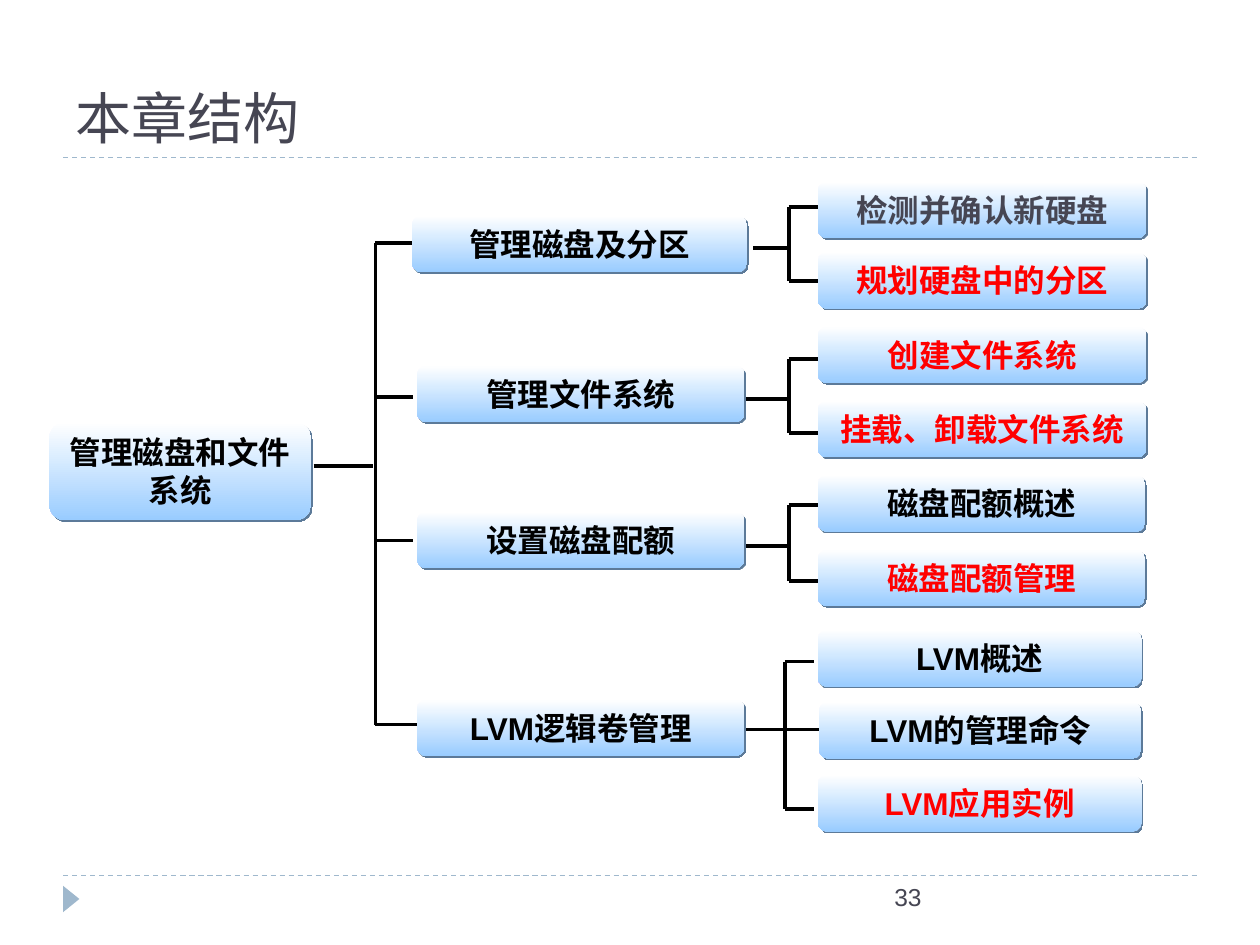
from dataclasses import dataclass

from lxml import etree
from pptx import Presentation
from pptx.dml.color import RGBColor
from pptx.enum import dml, shapes, text
from pptx.oxml import ns
from pptx.util import Inches, Pt

BLACK = RGBColor(0, 0, 0)
WHITE = RGBColor(255, 255, 255)
RED = RGBColor(255, 0, 0)
SLATE = RGBColor(0x46, 0x46, 0x53)
STEEL = RGBColor(0x9F, 0xB8, 0xCD)
SKY = RGBColor(0x99, 0xCC, 0xFF)
SHADE = "5C7A99"


@dataclass
class Box:
    words: str
    x: float
    y: float
    w: float = 2.6
    h: float = 0.45
    ink: RGBColor = BLACK


@dataclass
class Fork:
    start: float  # left end of the stub
    mid: float  # height of the stub
    trunk: float  # x of the upright
    arms: list[tuple[float, float]]  # right end and height of each arm
    stop: float | None = None  # right end of the stub, if not the trunk


ROOT = Box("管理磁盘和文件系统", 0.39, 3.35, 2.08, 0.78)
TOPICS = [
    Box("管理磁盘及分区", 3.27, 1.71, 2.66),
    Box("管理文件系统", 3.31, 2.9),
    Box("设置磁盘配额", 3.31, 4.06),
    Box("LVM逻辑卷管理", 3.31, 5.55),
]
LEAVES = [
    Box("检测并确认新硬盘", 6.49, 1.44, 2.61, ink=SLATE),
    Box("规划硬盘中的分区", 6.49, 2, 2.61, ink=RED),
    Box("创建文件系统", 6.49, 2.59, 2.61, ink=RED),
    Box("挂载、卸载文件系统", 6.49, 3.18, 2.61, ink=RED),
    Box("磁盘配额概述", 6.49, 3.77),
    Box("磁盘配额管理", 6.49, 4.36, ink=RED),
    Box("LVM概述", 6.49, 5, 2.57),
    Box("LVM的管理命令", 6.5, 5.57, 2.56),
    Box("LVM应用实例", 6.49, 6.15, 2.57, ink=RED),
]
FORKS = [
    Fork(2.49, 3.7, 2.98, [(3.27, 1.93), (3.28, 3.15), (3.28, 4.29), (3.31, 5.75)], 2.96),
    Fork(5.98, 1.97, 6.26, [(6.5, 1.64), (6.5, 2.23)]),
    Fork(5.87, 3.17, 6.26, [(6.5, 2.85), (6.5, 3.44)]),
    Fork(5.87, 4.33, 6.26, [(6.5, 4.01), (6.5, 4.61)]),
    Fork(5.92, 5.79, 6.23, [(6.46, 5.25), (6.46, 6.42)], 6.5),
]


def style(frame, size: float, ink: RGBColor, face: str = "Arial", bold: bool = False) -> None:
    for run in frame.paragraphs[0].runs:
        font = run.font
        font.size, font.name, font.bold = Pt(size), face, bold
        font.color.rgb = ink


def draw_line(slide, x1: float, y1: float, x2: float, y2: float,
              ink: RGBColor = BLACK, width: float = 2.25, dash=None) -> None:
    line = slide.shapes.add_connector(
        shapes.MSO_CONNECTOR.STRAIGHT, Inches(x1), Inches(y1), Inches(x2), Inches(y2))
    line.line.color.rgb = ink
    line.line.width = Pt(width)
    if dash:
        line.line.dash_style = dash
    etree.SubElement(line._element.spPr, ns.qn("a:effectLst"))


def draw_fork(slide, fork: Fork) -> None:
    rows = [y for _, y in fork.arms]
    draw_line(slide, fork.trunk, min(rows), fork.trunk, max(rows))
    draw_line(slide, fork.start, fork.mid, fork.stop or fork.trunk, fork.mid)
    for end, y in fork.arms:
        draw_line(slide, fork.trunk, y, end, y)


def add_shade(shape) -> None:
    """Hard shadow, 1.4 pt to the lower right."""
    shape.shadow.inherit = False
    effects = shape._element.spPr.find(ns.qn("a:effectLst"))
    shade = etree.SubElement(effects, ns.qn("a:outerShdw"), dist=str(Pt(1.4)),
                             dir="2700000", algn="ctr", rotWithShape="0")
    etree.SubElement(shade, ns.qn("a:srgbClr"), val=SHADE)


def draw_box(slide, box: Box) -> None:
    shape = slide.shapes.add_shape(
        shapes.MSO_SHAPE.ROUNDED_RECTANGLE,
        Inches(box.x), Inches(box.y), Inches(box.w), Inches(box.h))
    shape.fill.gradient()
    shape.fill.gradient_angle = 270
    for stop, ink in zip(shape.fill.gradient_stops, (WHITE, SKY)):
        stop.color.rgb = ink
    shape.line.fill.background()
    add_shade(shape)
    frame = shape.text_frame
    frame.text = box.words
    frame.word_wrap = True
    frame.vertical_anchor = text.MSO_ANCHOR.MIDDLE
    frame.paragraphs[0].alignment = text.PP_ALIGN.CENTER
    style(frame, 18, box.ink, bold=True)


def draw_frame(slide) -> None:
    # Dashed rules and corner marker
    for y in (6.95, 1.25):
        draw_line(slide, 0.5, y, 9.5, y, STEEL, 0.75, dml.MSO_LINE.DASH)
    mark = slide.shapes.add_shape(
        shapes.MSO_SHAPE.ISOSCELES_TRIANGLE,
        Inches(0.46), Inches(7.07), Inches(0.21), Inches(0.13))
    mark.rotation = 90
    mark.fill.solid()
    mark.fill.fore_color.rgb = STEEL
    mark.line.fill.background()
    mark.shadow.inherit = False

    # Page number
    page = slide.shapes.add_textbox(Inches(7), Inches(6.95), Inches(2.5), Inches(0.4))
    page.text_frame.text = "33"
    page.text_frame.word_wrap = True
    style(page.text_frame, 14, SLATE)

    # Title
    title = slide.shapes.title
    title.left, title.top = Inches(0.5), Inches(0.17)
    title.width, title.height = Inches(9), Inches(1.08)
    frame = title.text_frame
    frame.text = "本章结构"
    frame.vertical_anchor = text.MSO_ANCHOR.BOTTOM
    frame.paragraphs[0].alignment = text.PP_ALIGN.LEFT
    style(frame, 32, SLATE, "TeX Gyre Bonum")


def main() -> None:
    deck = Presentation()
    deck.slide_width, deck.slide_height = Inches(10), Inches(7.5)
    slide = deck.slides.add_slide(deck.slide_layouts[5])
    draw_frame(slide)
    # Chapter tree: branches first, boxes over them
    for fork in FORKS:
        draw_fork(slide, fork)
    for box in [ROOT, *TOPICS, *LEAVES]:
        draw_box(slide, box)
    deck.save("out.pptx")


if __name__ == "__main__":
    main()
